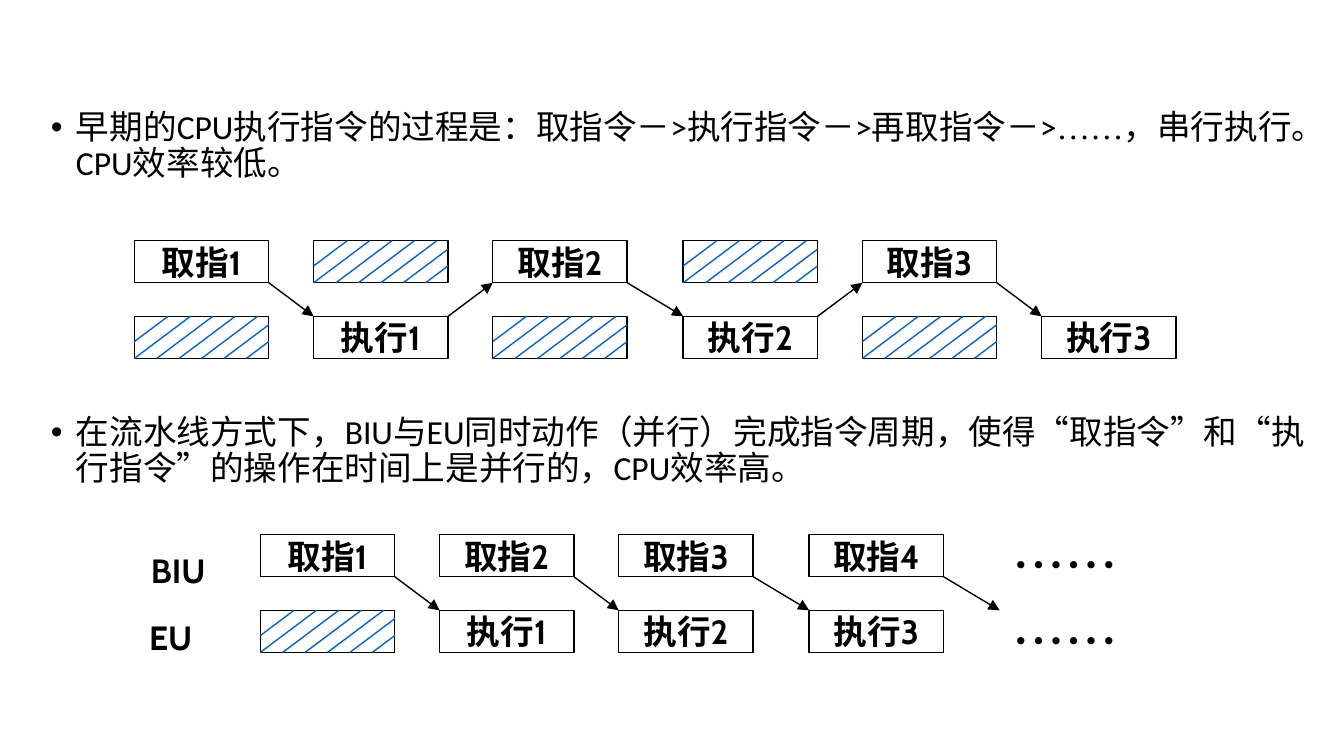
from dataclasses import dataclass
from itertools import accumulate

from pptx import Presentation
from pptx.dml.color import RGBColor
from pptx.enum.shapes import MSO_CONNECTOR, MSO_SHAPE
from pptx.enum.text import MSO_ANCHOR, MSO_AUTO_SIZE, PP_ALIGN
from pptx.oxml.ns import qn
from pptx.oxml.xmlchemy import OxmlElement
from pptx.shapes.shapetree import GroupShapes
from pptx.text.text import TextFrame, _Paragraph
from pptx.util import Pt


@dataclass(frozen=True)
class Theme:
    ink: RGBColor = RGBColor(0, 0, 0)
    hatch: RGBColor = RGBColor(0x05, 0x63, 0xC1)
    body_font: str = "Calibri"
    mark_font: str = "Times New Roman"
    label_font: str = "Cabin"
    size: float = 18
    line: float = 0.75


@dataclass(frozen=True)
class Stage:
    """One box of a timing diagram; without text it is an idle, hatched box."""
    column: int
    row: int
    text: str = ""


@dataclass(frozen=True)
class Label:
    left: float
    top: float
    width: float
    text: str


@dataclass(frozen=True)
class Diagram:
    top: float
    columns: list[float]
    stages: list[Stage]
    arrow_rows: list[int]  # row in which each arrow starts
    labels: list[Label]


THEME = Theme()
BOX_WIDTH, BOX_HEIGHT, ROW_STEP = 72, 22.5, 40.5
HATCH_STEP, HATCH_SLOPE = 12, 0.75
DOTS = "• • • • • •"

# Serial execution: the busy row alternates
SERIAL = Diagram(
    top=129,
    columns=list(accumulate([72, 96, 96, 102, 96, 96])),
    stages=[Stage(i, i % 2, f"{('取指', '执行')[i % 2]}{i // 2 + 1}") for i in range(6)]
    + [Stage(i, 1 - i % 2) for i in range(5)],
    arrow_rows=[0, 1, 0, 1, 0],
    labels=[],
)

# Pipeline: both rows are busy, one step apart
PIPELINE = Diagram(
    top=286.5,
    columns=list(accumulate([139.5, 96, 96, 102, 102])),
    stages=[Stage(i, 0, f"取指{i + 1}") for i in range(4)]
    + [Stage(0, 1)]
    + [Stage(i, 1, f"执行{i}") for i in range(1, 4)],
    arrow_rows=[0, 0, 0, 0],
    labels=[
        Label(515, 286.5, 111, DOTS),
        Label(515, 327, 111, DOTS),
        Label(70.5, 291, 50, "BIU"),
        Label(72, 327, 39, "EU"),
    ],
)

# Body text as (font, text) spans
BODY = [
    [
        (THEME.body_font, "早期的CPU执行指令的过程是：取指令－>执行指令－>再取指令－>"),
        (THEME.mark_font, "……"),
        (THEME.body_font, "，串行执行。CPU效率较低。"),
    ],
    [
        (THEME.body_font, "在流水线方式下，BIU与EU同时动作（并行）完成指令周期，使得"),
        (THEME.mark_font, "“"),
        (THEME.body_font, "取指令"),
        (THEME.mark_font, "”"),
        (THEME.body_font, "和"),
        (THEME.mark_font, "“"),
        (THEME.body_font, "执行指令"),
        (THEME.mark_font, "”"),
        (THEME.body_font, "的操作在时间上是并行的，CPU效率高。"),
    ],
]


def add_span(para: _Paragraph, text: str, font: str, bold: bool = False) -> None:
    span = para.add_run()
    span.text = text
    span.font.name = font
    span.font.size = Pt(THEME.size)
    span.font.bold = bold
    span.font.color.rgb = THEME.ink


def write_label(frame: TextFrame, text: str) -> None:
    frame.word_wrap = False
    para = frame.paragraphs[0]
    para.alignment = PP_ALIGN.CENTER
    add_span(para, text, THEME.label_font, bold=True)


def set_bullet(para: _Paragraph, indent: float) -> None:
    properties = para._p.get_or_add_pPr()
    properties.set("marL", str(Pt(indent)))
    properties.set("indent", str(-Pt(indent)))
    bullet = OxmlElement("a:buChar")
    bullet.set("char", "•")
    properties.append(bullet)


def add_line(shapes: GroupShapes, start: tuple[float, float], end: tuple[float, float],
             color: RGBColor, arrow: bool = False) -> None:
    line = shapes.add_connector(MSO_CONNECTOR.STRAIGHT, *map(Pt, start + end))
    line.line.color.rgb = color
    line.line.width = Pt(THEME.line)
    if arrow:
        head = OxmlElement("a:tailEnd")
        head.set("type", "triangle")
        line._element.spPr.find(qn("a:ln")).append(head)
    line._element.spPr.append(OxmlElement("a:effectLst"))


def add_hatch(shapes: GroupShapes, left: float, top: float) -> None:
    """Parallel strokes, clipped to the box."""
    run = BOX_HEIGHT / HATCH_SLOPE
    for offset in range(18, 91, HATCH_STEP):
        upper, lower = min(offset, BOX_WIDTH), max(offset - run, 0)
        start, end = ((left + x, top + (offset - x) * HATCH_SLOPE) for x in (upper, lower))
        add_line(shapes, start, end, THEME.hatch)


def add_stage(shapes: GroupShapes, stage: Stage, left: float, top: float) -> None:
    box = shapes.add_shape(MSO_SHAPE.RECTANGLE, *map(Pt, (left, top, BOX_WIDTH, BOX_HEIGHT)))
    box.shadow.inherit = False
    box.fill.background()
    box.line.color.rgb = THEME.ink
    box.line.width = Pt(THEME.line)
    if stage.text:
        box.text_frame.vertical_anchor = MSO_ANCHOR.MIDDLE
        write_label(box.text_frame, stage.text)
    else:
        add_hatch(shapes, left, top)


def add_diagram(page, diagram: Diagram) -> None:
    shapes = page.shapes.add_group_shape().shapes
    for stage in diagram.stages:
        add_stage(shapes, stage, diagram.columns[stage.column], diagram.top + stage.row * ROW_STEP)
    for label in diagram.labels:
        box = shapes.add_textbox(*map(Pt, (label.left, label.top, label.width, 29)))
        write_label(box.text_frame, label.text)
        box.text_frame.auto_size = MSO_AUTO_SIZE.SHAPE_TO_FIT_TEXT
    # Arrows join facing corners of neighbouring boxes
    edges = (diagram.top + BOX_HEIGHT, diagram.top + ROW_STEP)
    for row, left, following in zip(diagram.arrow_rows, diagram.columns, diagram.columns[1:]):
        add_line(shapes, (left + BOX_WIDTH, edges[row]), (following, edges[1 - row]),
                 THEME.ink, arrow=True)


def add_body(page) -> None:
    body = page.placeholders[1]
    body.left, body.top, body.width, body.height = map(Pt, (20, 55.5, 687, 229.5))
    frame = body.text_frame
    frame.word_wrap = True
    frame.auto_size = MSO_AUTO_SIZE.NONE
    for index, spans in enumerate(BODY):
        para = frame.add_paragraph() if index else frame.paragraphs[0]
        set_bullet(para, 13.5)
        para.line_spacing = 0.9
        para.space_before = Pt(124.5 if index else 0)
        for font, text in spans:
            add_span(para, text, font)


def main() -> None:
    deck = Presentation()
    deck.slide_width, deck.slide_height = Pt(720), Pt(405)
    page = deck.slides.add_slide(deck.slide_layouts[1])
    title = page.shapes.title._element
    title.getparent().remove(title)
    add_body(page)
    for diagram in (SERIAL, PIPELINE):
        add_diagram(page, diagram)
    deck.save("out.pptx")


if __name__ == "__main__":
    main()
